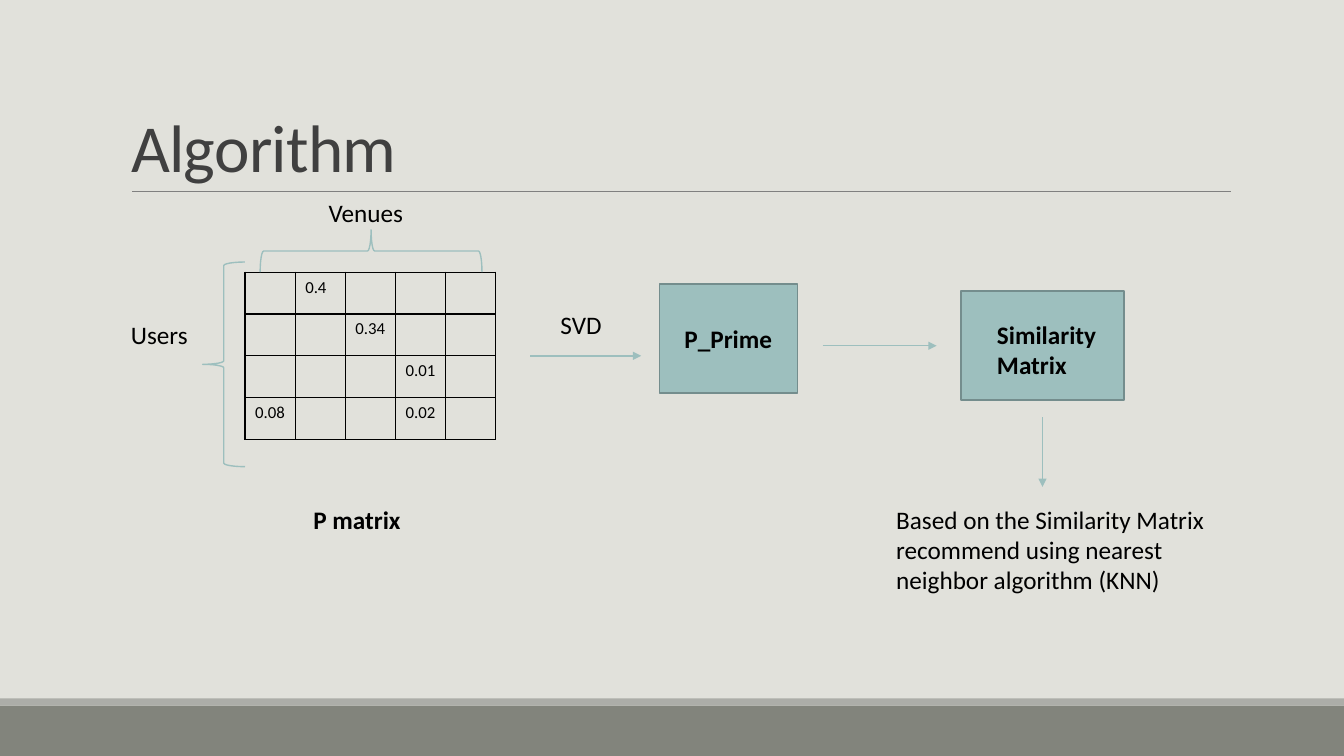
from dataclasses import dataclass

from lxml import etree
from pptx import Presentation
from pptx.dml.color import RGBColor
from pptx.enum.shapes import MSO_CONNECTOR, MSO_SHAPE
from pptx.enum.text import MSO_ANCHOR, MSO_AUTO_SIZE, PP_ALIGN
from pptx.oxml.ns import qn
from pptx.slide import Slide
from pptx.util import Emu, Pt

EMU_PER_PX = 9144
FONT = "Calibri"
TITLE_ONLY_LAYOUT = 5

STRAIGHT = MSO_CONNECTOR.STRAIGHT
RECTANGLE = MSO_SHAPE.RECTANGLE
LEFT_BRACE = MSO_SHAPE.LEFT_BRACE
BOTTOM = MSO_ANCHOR.BOTTOM
LEFT = PP_ALIGN.LEFT
NO_AUTOFIT = MSO_AUTO_SIZE.NONE
GROW = MSO_AUTO_SIZE.SHAPE_TO_FIT_TEXT

PAPER = RGBColor(0xE1, 0xE1, 0xDB)
FOOTER_DARK = RGBColor(0x82, 0x84, 0x7C)
FOOTER_LIGHT = RGBColor(0xAC, 0xAD, 0xA8)
RULE_GRAY = RGBColor(0x80, 0x80, 0x80)
TITLE_GRAY = RGBColor(0x40, 0x40, 0x40)
TEAL = RGBColor(0x9D, 0xBF, 0xBE)
TEAL_EDGE = RGBColor(0x74, 0x8D, 0x8D)
BLACK = RGBColor(0, 0, 0)


@dataclass(frozen=True)
class Box:
    left: int
    top: int
    width: int
    height: int

    def emu(self) -> tuple[Emu, ...]:
        return tuple(px(side) for side in (self.left, self.top, self.width, self.height))


@dataclass(frozen=True)
class Label:
    text: str
    box: Box
    bold: bool = False


@dataclass(frozen=True)
class Figure:
    box: Box
    kind: int = RECTANGLE
    fill: RGBColor | None = None
    edge: RGBColor | None = None
    edge_pt: float = 1
    rotation: int = 0


@dataclass(frozen=True)
class Line:
    start: tuple[int, int]
    end: tuple[int, int]
    color: RGBColor = TEAL
    width_pt: float = 1
    arrow: bool = True


FIGURES = [
    Figure(Box(0, 700, 1333, 50), fill=FOOTER_DARK),
    Figure(Box(0, 693, 1333, 7), fill=FOOTER_LIGHT),
    Figure(Box(201, 260, 42, 203), LEFT_BRACE, edge=TEAL),
    Figure(Box(347, 139, 42, 220), LEFT_BRACE, edge=TEAL, rotation=90),
    Figure(Box(654, 282, 137, 108), fill=TEAL, edge=TEAL_EDGE, edge_pt=1.25),
    Figure(Box(953, 289, 162, 108), fill=TEAL, edge=TEAL_EDGE, edge_pt=1.25),
]
LINES = [
    Line((131, 190), (1221, 190), RULE_GRAY, 0.5, arrow=False),
    Line((526, 353), (636, 353)),
    Line((816, 343), (929, 343)),
    Line((1034, 414), (1034, 483)),
]
LABELS = [
    Label("Venues", Box(316, 191, 169, 40)),
    Label("Users", Box(120, 312, 81, 40)),
    Label("P matrix", Box(301, 495, 134, 40), bold=True),
    Label("SVD", Box(546, 302, 100, 40)),
    Label("P_Prime", Box(669, 316, 146, 40), bold=True),
    Label("Similarity Matrix", Box(979, 312, 153, 71), bold=True),
    Label("Based on the Similarity Matrix recommend using nearest "
          "neighbor algorithm (KNN)", Box(879, 495, 352, 101)),
]
MATRIX_BOX = Box(243, 270, 249, 166)
MATRIX = [
    ["", "0.4", "", "", ""],
    ["", "", "0.34", "", ""],
    ["", "", "", "0.01", ""],
    ["0.08", "", "", "0.02", ""],
]


def px(length: int) -> Emu:
    return Emu(length * EMU_PER_PX)


def set_all(target, values: dict) -> None:
    for name, value in values.items():
        setattr(target, name, value)


def style_font(font, size: int, color: RGBColor, bold: bool = False) -> None:
    set_all(font, {"name": FONT, "size": Pt(size), "bold": bold})
    font.color.rgb = color


def add_title(slide: Slide, text: str, box: Box) -> None:
    title = slide.shapes.title
    set_all(title, dict(zip(("left", "top", "width", "height"), box.emu())))
    frame = title.text_frame
    set_all(frame, {"text": text, "vertical_anchor": BOTTOM,
                    "auto_size": NO_AUTOFIT, "word_wrap": True})
    paragraph = frame.paragraphs[0]
    set_all(paragraph, {"alignment": LEFT, "line_spacing": 0.85})
    font = paragraph.runs[0].font
    style_font(font, 48, TITLE_GRAY)
    paragraph.runs[0]._r.get_or_add_rPr().set("spc", "-50")


def add_figure(slide: Slide, figure: Figure) -> None:
    shape = slide.shapes.add_shape(figure.kind, *figure.box.emu())
    shape.shadow.inherit = False
    shape.rotation = figure.rotation
    if figure.fill is None:
        shape.fill.background()
    else:
        shape.fill.solid()
        shape.fill.fore_color.rgb = figure.fill
    if figure.edge is None:
        shape.line.fill.background()
    else:
        shape.line.color.rgb = figure.edge
        shape.line.width = Pt(figure.edge_pt)


def add_line(slide: Slide, line: Line) -> None:
    ends = (px(value) for value in (*line.start, *line.end))
    connector = slide.shapes.add_connector(STRAIGHT, *ends)
    connector.line.color.rgb = line.color
    connector.line.width = Pt(line.width_pt)
    properties = connector._element.spPr
    if line.arrow:
        etree.SubElement(properties.find(qn("a:ln")), qn("a:tailEnd"), type="triangle")
    etree.SubElement(properties, qn("a:effectLst"))


def add_label(slide: Slide, label: Label) -> None:
    frame = slide.shapes.add_textbox(*label.box.emu()).text_frame
    set_all(frame, {"text": label.text, "word_wrap": True, "auto_size": GROW})
    style_font(frame.paragraphs[0].runs[0].font, 18, BLACK, label.bold)


def add_borders(cell) -> None:
    properties = cell._tc.get_or_add_tcPr()
    for position, side in enumerate(("a:lnL", "a:lnR", "a:lnT", "a:lnB")):
        border = etree.Element(qn(side), w=str(Pt(1)))
        fill = etree.SubElement(border, qn("a:solidFill"))
        etree.SubElement(fill, qn("a:srgbClr"), val=str(BLACK))
        properties.insert(position, border)


def add_matrix(slide: Slide, values: list[list[str]], box: Box) -> None:
    frame = slide.shapes.add_table(len(values), len(values[0]), *box.emu())
    table = frame.table
    set_all(table, {"first_row": False, "horz_banding": False})
    for row, row_values in enumerate(values):
        for column, value in enumerate(row_values):
            cell = table.cell(row, column)
            set_all(cell, {"text": value, "margin_right": px(5)})
            style_font(cell.text_frame.paragraphs[0].font, 12, BLACK)
            cell.fill.background()
            add_borders(cell)


def main() -> None:
    deck = Presentation()
    set_all(deck, {"slide_width": px(1333), "slide_height": px(750)})
    slide = deck.slides.add_slide(deck.slide_layouts[TITLE_ONLY_LAYOUT])
    slide.background.fill.solid()
    slide.background.fill.fore_color.rgb = PAPER

    add_title(slide, "Algorithm", Box(120, 31, 1100, 159))
    add_matrix(slide, MATRIX, MATRIX_BOX)
    for figure in FIGURES:
        add_figure(slide, figure)
    for line in LINES:
        add_line(slide, line)
    for label in LABELS:
        add_label(slide, label)
    deck.save("out.pptx")


if __name__ == "__main__":
    main()
